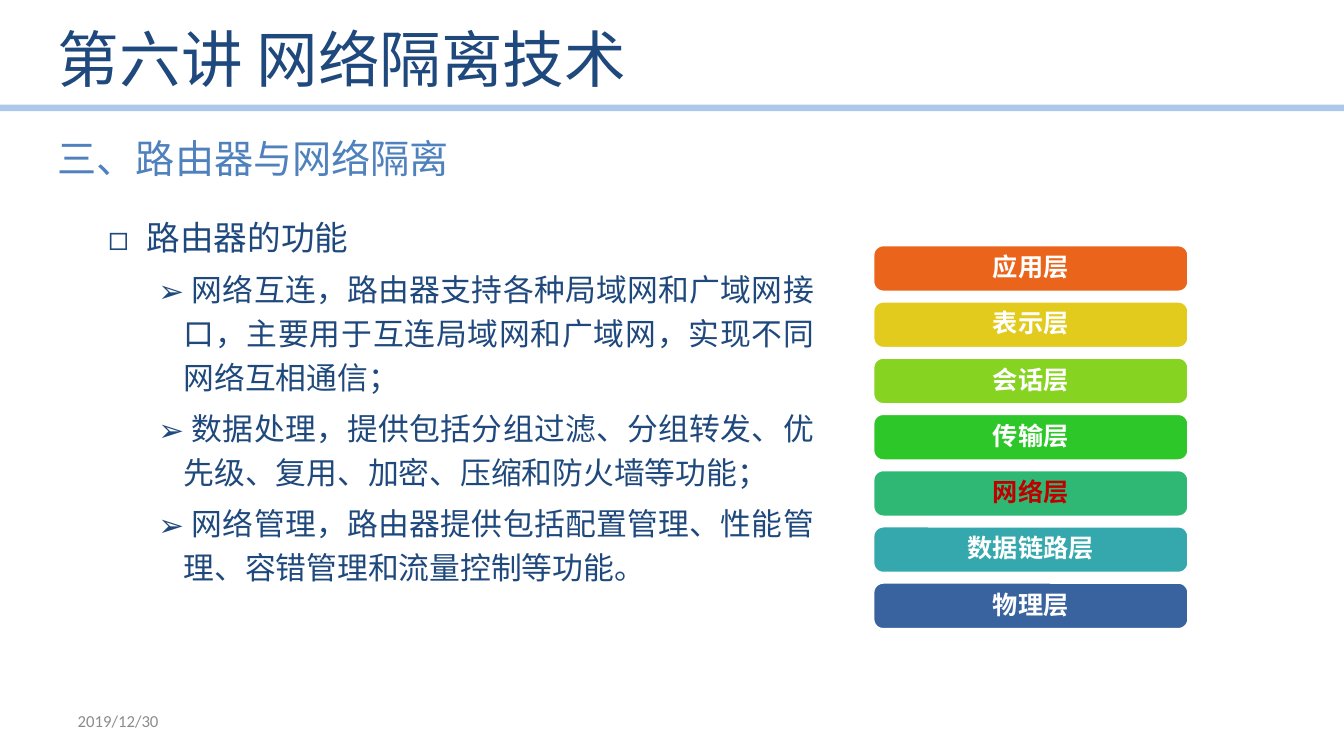
from lxml.etree import SubElement
from pptx import Presentation
from pptx.dml.color import RGBColor
from pptx.enum.shapes import MSO_CONNECTOR as LINE, MSO_SHAPE as SHAPE
from pptx.enum.text import MSO_ANCHOR as ANCHOR, MSO_AUTO_SIZE as FIT, PP_ALIGN as ALIGN
from pptx.oxml.ns import qn
from pptx.util import Inches, Pt

WIDE, HIGH = 13.33, 7.5
SANS = "Noto Sans CJK SC"
NAVY, BLUE, PALE, GREY, WHITE, RED = "1F497D", "4F81BD", "8EB4E3", "8C8C8C", "FFFFFF", "C00000"

POINTS = [
    (1, "路由器的功能"),
    (2, "网络互连，路由器支持各种局域网和广域网接口，主要用于互连局域网和广域网，实现不同网络互相通信；"),
    (2, "数据处理，提供包括分组过滤、分组转发、优先级、复用、加密、压缩和防火墙等功能；"),
    (2, "网络管理，路由器提供包括配置管理、性能管理、容错管理和流量控制等功能。"),
]
# level: bullet, size, left margin, hanging indent
LEVELS = {1: ("◻", 24, 0.81, 0.31), 2: ("➢", 22, 1.25, 0.25)}
LAYERS = [
    ("应用层", "EB641B", WHITE), ("表示层", "E2CB1D", WHITE), ("会话层", "87D322", WHITE),
    ("传输层", "2EC729", WHITE), ("网络层", "2EB873", RED), ("数据链路层", "34A8AC", WHITE),
    ("物理层", "39639E", WHITE),
]


def box(left, top, width, height):
    """Turn percentages of the slide into lengths."""
    col, row = WIDE / 100, HIGH / 100
    return [Inches(col * left), Inches(row * top), Inches(col * width), Inches(row * height)]


def paint(target, color):
    target.rgb = RGBColor.from_string(color)


def write(para, text, size, color, font=SANS, bold=False):
    run = para.add_run()
    run.text = text
    run.font.size, run.font.name, run.font.bold = Pt(size), font, bold
    paint(run.font.color, color)
    SubElement(run._r.get_or_add_rPr(), qn("a:ea"), typeface=font)


def frame(slide, area, anchor=ANCHOR.TOP):
    text = slide.shapes.add_textbox(*area).text_frame
    text.word_wrap, text.vertical_anchor = True, anchor
    return text


def head(slide, area):
    title = slide.shapes.title
    title.left, title.top, title.width, title.height = area
    text = title.text_frame
    text.vertical_anchor, text.auto_size = ANCHOR.MIDDLE, FIT.NONE
    para = text.paragraphs[0]
    para.alignment = ALIGN.LEFT
    write(para, "第六讲 网络隔离技术", 44, NAVY)


def rule(slide, area):
    left, top, width, _ = area
    line = slide.shapes.add_connector(LINE.STRAIGHT, left, top, left + width, top)
    line.line.width = Pt(4.75)
    paint(line.line.color, PALE)
    props = line._element.spPr
    SubElement(props.find(".//" + qn("a:srgbClr")), qn("a:alpha"), val="73000")
    SubElement(props, qn("a:effectLst"))


def label(slide, area, text, size, color, font=SANS, anchor=ANCHOR.TOP):
    write(frame(slide, area, anchor).paragraphs[0], text, size, color, font)


def points(slide, area):
    text = frame(slide, area)
    for i, (level, words) in enumerate(POINTS):
        mark, size, margin, hang = LEVELS[level]
        para = text.add_paragraph() if i else text.paragraphs[0]
        para.alignment, para.level, para.line_spacing = ALIGN.JUSTIFY, level, 1.2
        para.space_before = Pt(size * 0.2 if i else 0)
        props = para._p.get_or_add_pPr()
        props.set("marL", str(Inches(margin)))
        props.set("indent", str(-Inches(hang)))
        SubElement(props, qn("a:buFont"), typeface=SANS)
        SubElement(props, qn("a:buChar"), char=mark)
        write(para, " " + words, size, NAVY)


def stack(slide, area):
    """Pile the network layers from top to bottom, one bar a row."""
    left, top, width, height = area
    row = height / len(LAYERS)
    for i, (name, fill, ink) in enumerate(LAYERS):
        bar = slide.shapes.add_shape(SHAPE.ROUNDED_RECTANGLE, left, int(top + i * row), width, int(row * 0.91))
        bar.adjustments[0] = 0.24
        bar.shadow.inherit = False
        bar.fill.solid()
        paint(bar.fill.fore_color, fill)
        paint(bar.line.color, WHITE)
        bar.line.width = Pt(5)
        text = bar.text_frame
        text.vertical_anchor = ANCHOR.MIDDLE
        para = text.paragraphs[0]
        para.alignment, para.line_spacing, para.space_after = ALIGN.CENTER, 0.9, Pt(6.3)
        write(para, name, 18, ink, bold=True)


def main():
    deck = Presentation()
    deck.slide_width, deck.slide_height = Inches(WIDE), Inches(HIGH)
    slide = deck.slides.add_slide(deck.slide_layouts[5])
    rule(slide, box(0, 14.27, 100, 0))
    head(slide, box(3.55, 1.2, 82.7, 12.9))
    points(slide, box(3.55, 26.93, 57.8, 58.8))
    label(slide, box(3.55, 17.1, 34, 7.6), "三、路由器与网络隔离", 28, BLUE)
    stack(slide, box(64.8, 32.13, 23.8, 52.07))
    label(slide, box(5.03, 92.67, 23.3, 5.3), "2019/12/30", 12, GREY, "Calibri", ANCHOR.MIDDLE)
    deck.save("out.pptx")


if __name__ == "__main__":
    main()
